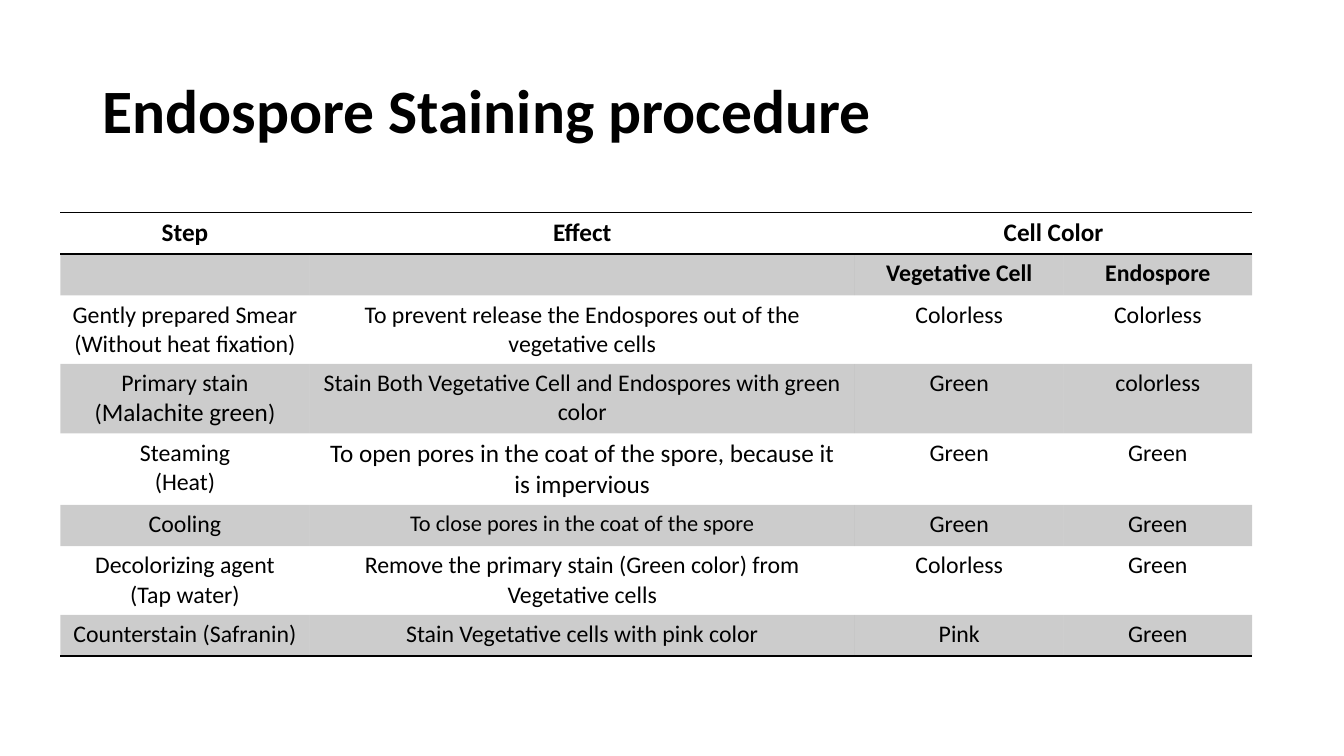
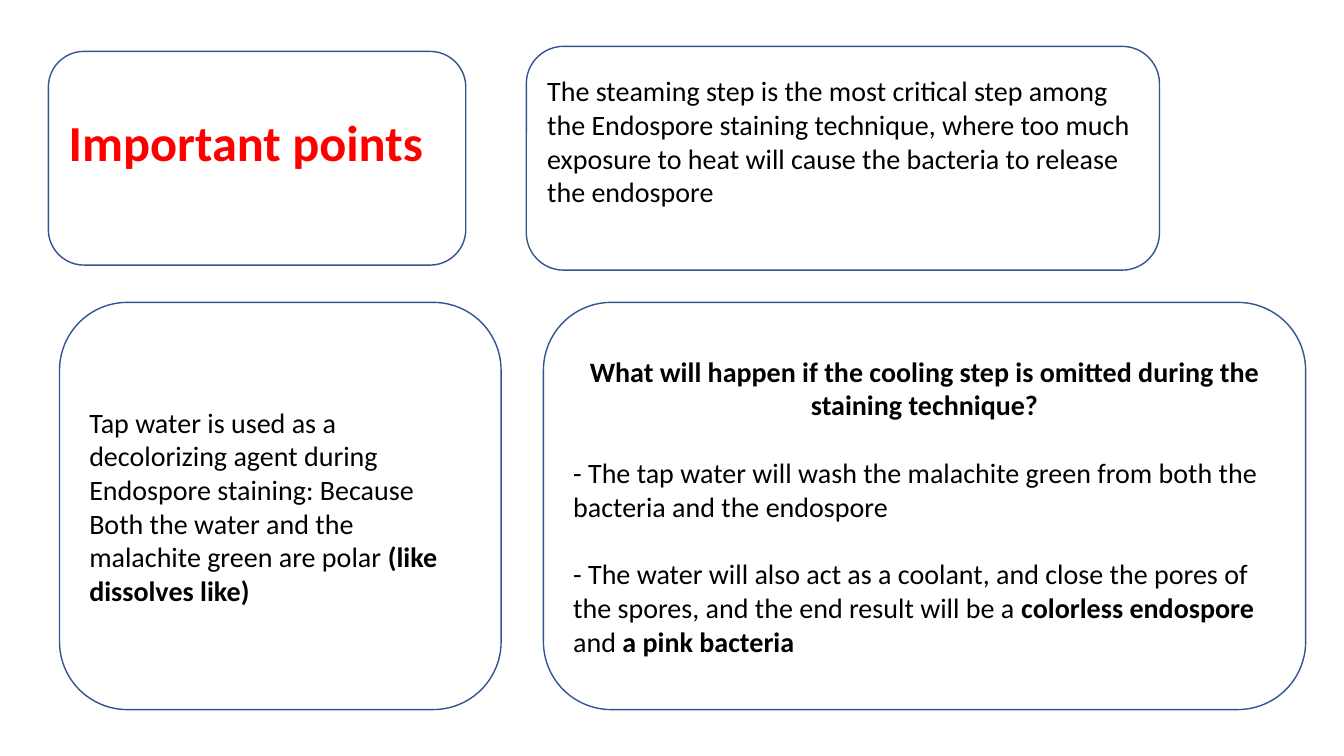
from lxml import etree
from pptx import Presentation
from pptx.dml.color import RGBColor
from pptx.enum.shapes import MSO_SHAPE
from pptx.enum.text import MSO_ANCHOR, PP_ALIGN
from pptx.oxml.ns import qn
from pptx.util import Inches, Pt

ROUNDED = MSO_SHAPE.ROUNDED_RECTANGLE
MIDDLE = MSO_ANCHOR.MIDDLE
LEFT, CENTER = PP_ALIGN.LEFT, PP_ALIGN.CENTER

BLACK = RGBColor(0x00, 0x00, 0x00)
WHITE = RGBColor(0xFF, 0xFF, 0xFF)
RED = RGBColor(0xFF, 0x00, 0x00)
OUTLINE = RGBColor(0x32, 0x54, 0x91)
FONT = "Calibri"
BAND_ALPHA = "20000"
PLAIN_TABLE_STYLE = "{2D5ABB26-0587-4C30-8999-92F81FD0307C}"
BLANK_LINE = 24.4

BOLD = {"bold": True}
COLUMN_WIDTHS = [2.47, 5.41, 2.07, 1.87]
ROW_HEIGHTS = [0.41, 0.41, 0.68, 0.69, 0.71, 0.41, 0.68, 0.41]
HEADER_ROWS = 2
STAINING_STEPS = [
    [["Step"], ["Effect"], ["Cell Color"], []],
    [[], [], ["Vegetative Cell"], ["Endospore"]],
    [["Gently prepared Smear (Without heat fixation)"],
     ["To prevent release the Endospores out of the vegetative cells"],
     ["Colorless"], ["Colorless"]],
    [["Primary stain", ["(", ("Malachite green", {"size": 18}), ")"]],
     ["Stain Both Vegetative Cell and Endospores with green color"],
     ["Green"], ["colorless"]],
    [["Steaming", "(Heat)"],
     [[("To open pores in the coat of the spore, because it is impervious", {"size": 18})]],
     ["Green"], ["Green"]],
    [["Cooling"],
     [[("To close pores in the coat of the spore", {"size": 16})]],
     ["Green"], ["Green"]],
    [["Decolorizing agent", "(Tap water)"],
     ["Remove the primary stain (Green color) from Vegetative cells"],
     ["Colorless"], ["Green"]],
    [["Counterstain (Safranin)"], ["Stain Vegetative cells with pink color"],
     ["Pink"], ["Green"]],
]


def add_text(frame, text, size=20, bold=False, color=BLACK, align=LEFT,
             space_before=0, line_spacing=None):
    """Add a paragraph from a string or a list of strings and (string, format) runs."""
    paragraph = frame.paragraphs[0]
    if paragraph.runs:
        paragraph = frame.add_paragraph()
        paragraph.space_before = Pt(space_before)
    paragraph.alignment = align
    if line_spacing:
        paragraph.line_spacing = line_spacing
    for part in [text] if isinstance(text, str) else text:
        words, changes = (part, {}) if isinstance(part, str) else part
        run = paragraph.add_run()
        run.text = words
        run.font.name = FONT
        run.font.size = Pt(changes.get("size", size))
        run.font.bold = changes.get("bold", bold)
        run.font.color.rgb = color


def add_title(slide, box, text):
    """Place a bold slide title in the box."""
    frame = slide.shapes.add_textbox(*map(Inches, box)).text_frame
    frame.word_wrap = True
    frame.vertical_anchor = MIDDLE
    add_text(frame, text, size=44, bold=True, line_spacing=0.9)


def add_border(cell, side):
    """Draw a one-point black line on a side of the cell, before its fill."""
    properties = cell._tc.get_or_add_tcPr()
    line = etree.Element(qn(f"a:ln{side}"), w=str(Pt(1)))
    fill = etree.SubElement(line, qn("a:solidFill"))
    etree.SubElement(fill, qn("a:srgbClr"), val=str(BLACK))
    properties.insert(len(properties.findall(qn("a:lnT"))), line)


def fill_band(cell):
    """Give the cell a translucent black fill."""
    cell.fill.solid()
    cell.fill.fore_color.rgb = BLACK
    color = cell._tc.tcPr.find(f".//{qn('a:solidFill')}/{qn('a:srgbClr')}")
    etree.SubElement(color, qn("a:alpha"), val=BAND_ALPHA)


def add_steps_table(slide, left, top):
    """Place the banded table of staining steps with its corner at left, top."""
    box = (left, top, sum(COLUMN_WIDTHS), sum(ROW_HEIGHTS))
    table = slide.shapes.add_table(
        len(ROW_HEIGHTS), len(COLUMN_WIDTHS), *map(Inches, box)).table
    table.first_row = table.horz_banding = False
    table._tbl.tblPr.find(qn("a:tableStyleId")).text = PLAIN_TABLE_STYLE
    for column, width in zip(table.columns, COLUMN_WIDTHS):
        column.width = Inches(width)
    last = len(ROW_HEIGHTS) - 1
    for index, (row, height) in enumerate(zip(table.rows, ROW_HEIGHTS)):
        row.height = Inches(height)
        for cell, paragraphs in zip(row.cells, STAINING_STEPS[index]):
            for text in paragraphs:
                add_text(cell.text_frame, text, size=17 if index else 18,
                         bold=index < HEADER_ROWS, align=CENTER)
            if index % 2:
                fill_band(cell)
            else:
                cell.fill.background()
            if index == 0:
                add_border(cell, "T")
            if index in (0, last):
                add_border(cell, "B")
    table.cell(0, 2).merge(table.cell(0, 3))


def add_card(slide, box, paragraphs, space_below=0):
    """Place an outlined rounded card holding (text, format) paragraphs."""
    card = slide.shapes.add_shape(ROUNDED, *map(Inches, box))
    card.shadow.inherit = False
    card.fill.solid()
    card.fill.fore_color.rgb = WHITE
    card.line.color.rgb = OUTLINE
    card.line.width = Pt(1)
    frame = card.text_frame
    frame.word_wrap = True
    frame.vertical_anchor = MIDDLE
    frame.margin_bottom = Inches(0.05) + Pt(space_below)
    for text, style in paragraphs:
        add_text(frame, text, **style)


def build_procedure_slide(slide):
    """Build the slide with the table of the procedure."""
    add_title(slide, (0.92, 0.4, 11.5, 1.45), "Endospore Staining procedure")
    add_steps_table(slide, 0.6, 2.11)


def build_points_slide(slide):
    """Build the slide with four cards of important points."""
    after_gap = {"space_before": BLANK_LINE}
    add_card(slide, (5.22, 0.46, 6.28, 2.22), [
        ("The steaming step is the most critical step among the Endospore staining "
         "technique, where too much exposure to heat will cause the bacteria to "
         "release the endospore", {}),
    ], space_below=BLANK_LINE)
    add_card(slide, (5.39, 3, 7.56, 4.04), [
        ("What will happen if the cooling step is omitted during the staining technique?",
         {"bold": True, "align": CENTER}),
        ("- The tap water will wash the malachite green from both the bacteria and "
         "the endospore", after_gap),
        (["- The water will also act as a coolant, and close the pores of the spores, "
          "and the end result will be a ", ("colorless endospore ", BOLD), "and ",
          ("a pink bacteria", BOLD)], after_gap),
    ])
    add_card(slide, (0.59, 3, 4.38, 4.04), [
        (["Tap water is used as a decolorizing agent during Endospore staining: "
          "Because Both the water and the malachite green are polar ",
          ("(like dissolves like)", BOLD)], {}),
    ])
    add_card(slide, (0.48, 0.51, 4.14, 2.12), [
        ("Important points", {"size": 36, "bold": True, "color": RED}),
    ], space_below=BLANK_LINE)


def main():
    """Build and save the presentation."""
    presentation = Presentation()
    presentation.slide_width = Inches(13.33)
    presentation.slide_height = Inches(7.5)
    blank = presentation.slide_layouts[6]
    for build in (build_procedure_slide, build_points_slide):
        build(presentation.slides.add_slide(blank))
    presentation.save("out.pptx")


if __name__ == "__main__":
    main()
